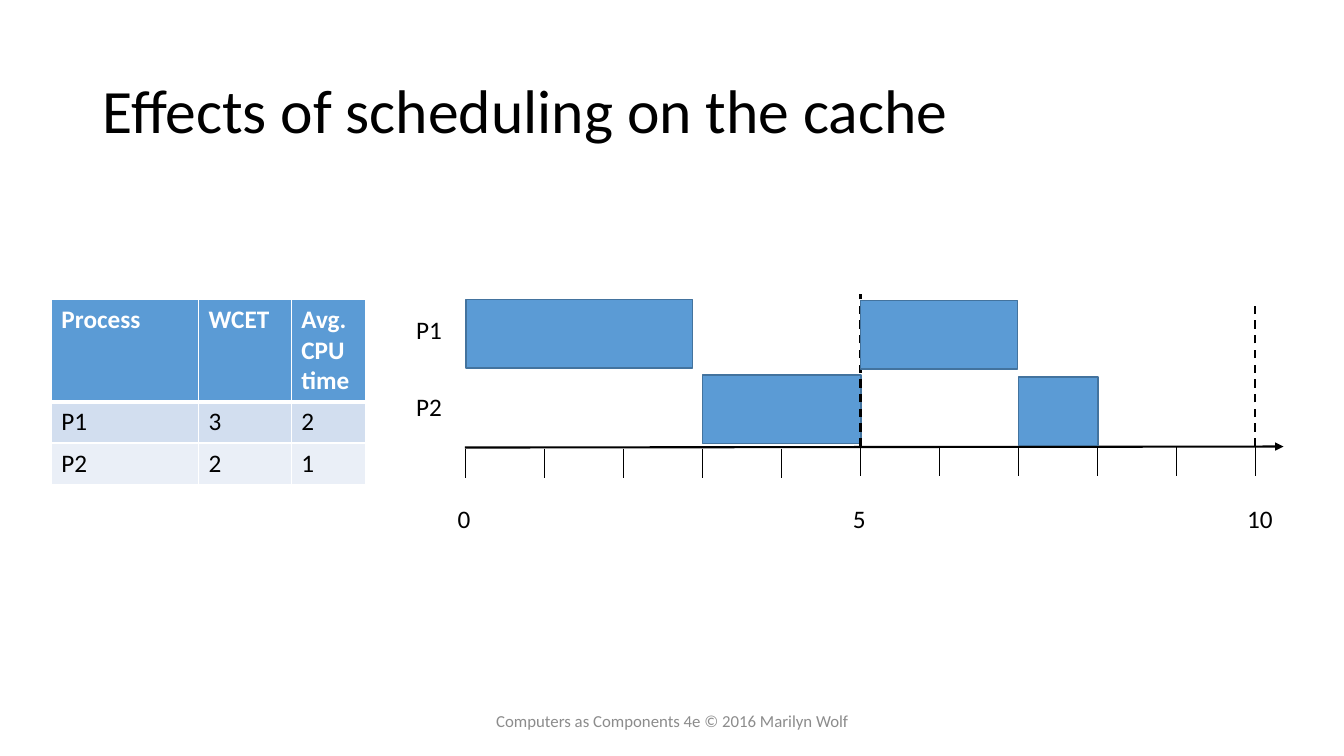
from lxml import etree
from pptx import Presentation
from pptx.dml.color import RGBColor
from pptx.enum.dml import MSO_LINE
from pptx.enum.shapes import MSO_CONNECTOR, MSO_SHAPE
from pptx.enum.text import MSO_ANCHOR, MSO_AUTO_SIZE, PP_ALIGN
from pptx.oxml.ns import qn
from pptx.util import Inches, Pt

STRAIGHT = MSO_CONNECTOR.STRAIGHT
RECTANGLE = MSO_SHAPE.RECTANGLE
DASH = MSO_LINE.DASH
MIDDLE, TOP = MSO_ANCHOR.MIDDLE, MSO_ANCHOR.TOP
LEFT, CENTER = PP_ALIGN.LEFT, PP_ALIGN.CENTER
NO_AUTOFIT = MSO_AUTO_SIZE.NONE

BLACK = RGBColor(0x00, 0x00, 0x00)
WHITE = RGBColor(0xFF, 0xFF, 0xFF)
GRAY = RGBColor(0x8C, 0x8C, 0x8C)
BLUE = RGBColor(0x5B, 0x9B, 0xD5)
DARK_BLUE = RGBColor(0x43, 0x73, 0x9E)
ROW_FILLS = [BLUE, RGBColor(0xD2, 0xDE, 0xEF), RGBColor(0xEA, 0xEF, 0xF7)]

FONT = "Calibri"
TIME_ZERO = 4.62
TIME_UNIT = 0.783
AXIS_Y = 4.43

PROCESSES = [
    ["Process", "WCET", "Avg. CPU time"],
    ["P1", "3", "2"],
    ["P2", "2", "1"],
]
COLUMN_WIDTHS = [1.46, 0.92, 0.74]
ROW_HEIGHTS = [1.0, 0.41, 0.41]


def time_x(time):
    return TIME_ZERO + TIME_UNIT * time


def write_text(frame, text, size=18, color=BLACK, bold=False, align=LEFT, anchor=TOP):
    frame.vertical_anchor = anchor
    para = frame.paragraphs[0]
    para.alignment = align
    span = para.add_run()
    span.text = text
    span.font.name = FONT
    span.font.size = Pt(size)
    span.font.bold = bold
    span.font.color.rgb = color


def add_label(slide, text, left, top, width, wrap=False, **text_format):
    box = slide.shapes.add_textbox(Inches(left), Inches(top), Inches(width), Inches(0.4))
    box.text_frame.word_wrap = wrap
    write_text(box.text_frame, text, **text_format)


def add_line(slide, start, end, width=1.5, dash=None, arrow=False):
    line = slide.shapes.add_connector(STRAIGHT, *map(Inches, start + end))
    line.line.color.rgb = BLACK
    line.line.width = Pt(width)
    if dash:
        line.line.dash_style = dash
    if arrow:
        etree.SubElement(line.line._get_or_add_ln(), qn("a:tailEnd"), type="triangle")
    etree.SubElement(line._element.spPr, qn("a:effectLst"))


def add_run_block(slide, start, top, width):
    block = slide.shapes.add_shape(
        RECTANGLE, Inches(time_x(start)), Inches(top), Inches(width), Inches(0.68))
    block.shadow.inherit = False
    block.fill.solid()
    block.fill.fore_color.rgb = BLUE
    block.line.color.rgb = DARK_BLUE
    block.line.width = Pt(1)


def set_borders(cell, bottom_width):
    properties = cell._tc.get_or_add_tcPr()
    for side, width in (("L", 1), ("R", 1), ("T", 1), ("B", bottom_width)):
        border = etree.SubElement(properties, qn("a:ln" + side), w=str(Pt(width)))
        fill = etree.SubElement(border, qn("a:solidFill"))
        etree.SubElement(fill, qn("a:srgbClr"), val=str(WHITE))


def add_process_table(slide):
    table = slide.shapes.add_table(
        len(PROCESSES), len(COLUMN_WIDTHS), Inches(0.51), Inches(2.97),
        Inches(sum(COLUMN_WIDTHS)), Inches(sum(ROW_HEIGHTS))).table
    for column, width in zip(table.columns, COLUMN_WIDTHS):
        column.width = Inches(width)
    for index, (row, height) in enumerate(zip(table.rows, ROW_HEIGHTS)):
        row.height = Inches(height)
        header = index == 0
        for cell, text in zip(row.cells, PROCESSES[index]):
            set_borders(cell, bottom_width=3 if header else 1)
            cell.fill.solid()
            cell.fill.fore_color.rgb = ROW_FILLS[index]
            write_text(cell.text_frame, text, bold=header, color=WHITE if header else BLACK)


def add_title(slide, text):
    title = slide.shapes.title
    title.left, title.top = Inches(0.92), Inches(0.4)
    title.width, title.height = Inches(11.5), Inches(1.45)
    title.text_frame.auto_size = NO_AUTOFIT
    write_text(title.text_frame, text, size=44, anchor=MIDDLE)
    title.text_frame.paragraphs[0].line_spacing = 0.9


def add_schedule(slide):
    # Time axis with one tick per unit; the first half sits slightly lower
    add_line(slide, (4.61, 4.44), (12.73, AXIS_Y), arrow=True)
    for time in range(11):
        top = 4.45 if time < 5 else AXIS_Y
        add_line(slide, (time_x(time), top), (time_x(time), top + 0.29), width=1)
    for text, left, width in (("0", 4.44, 0.33), ("5", 8.36, 0.33), ("10", 12.27, 0.46)):
        add_label(slide, text, left, 4.94, width)

    # Process names
    add_label(slide, "P1", 4.03, 3.07, 0.46)
    add_label(slide, "P2", 4.03, 3.83, 0.46)

    # Running times, with the period ends between the first and second period
    add_run_block(slide, 0, 2.97, 2.25)
    add_run_block(slide, 3, 3.72, 1.57)
    for time, top in ((5, 2.92), (10, 2.97)):
        add_line(slide, (time_x(time), AXIS_Y), (time_x(time), top), dash=DASH)
    add_run_block(slide, 5, 2.98, 1.56)
    add_run_block(slide, 7, 3.74, 0.79)


def main():
    deck = Presentation()
    deck.slide_width, deck.slide_height = Inches(13.33), Inches(7.5)
    page = deck.slides.add_slide(deck.slide_layouts[5])
    add_title(page, "Effects of scheduling on the cache")
    add_process_table(page)
    add_label(page, "Computers as Components 4e © 2016 Marilyn Wolf", 4.42, 6.95, 4.5,
              wrap=True, size=12, color=GRAY, align=CENTER, anchor=MIDDLE)
    add_schedule(page)
    deck.save("out.pptx")


if __name__ == "__main__":
    main()
